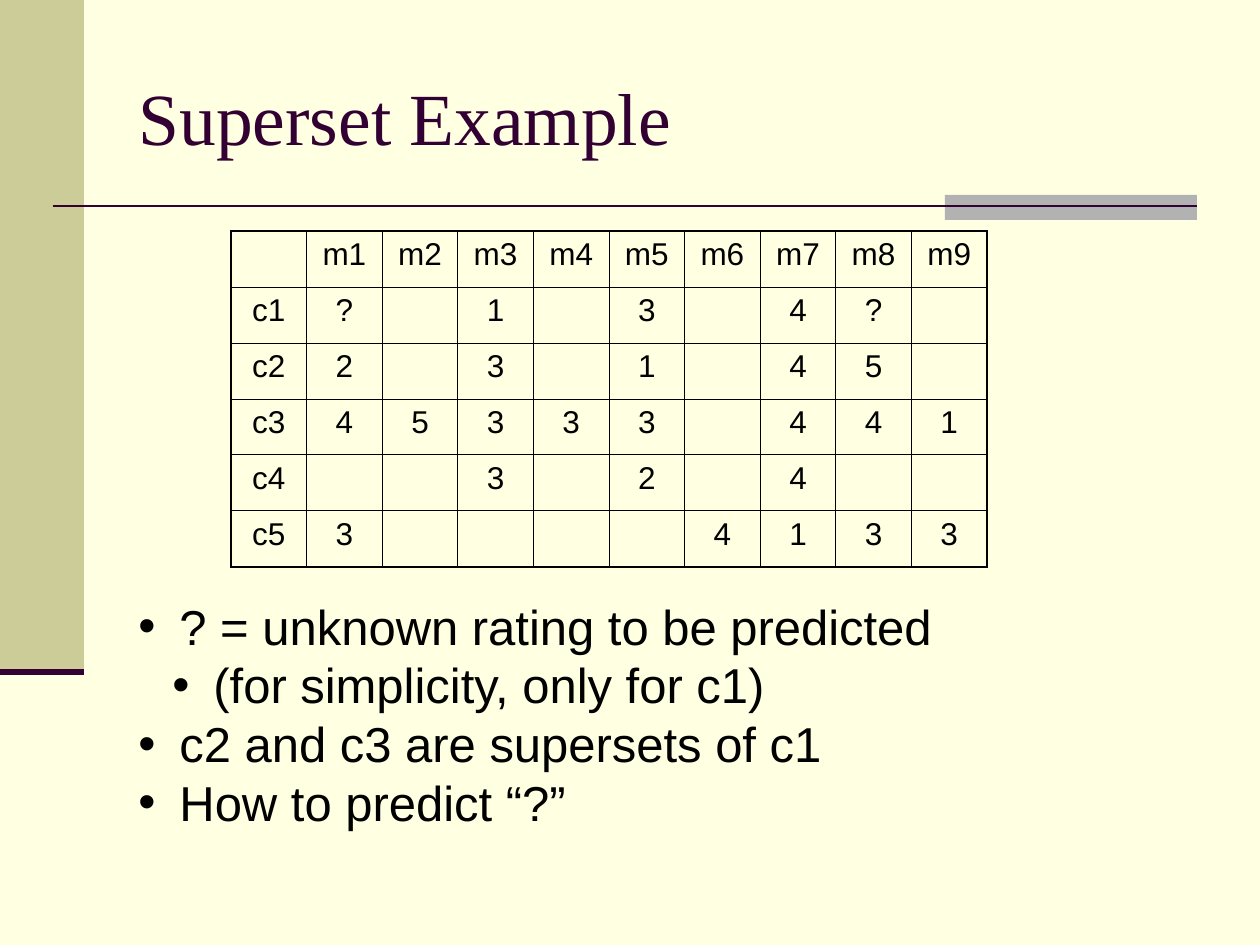
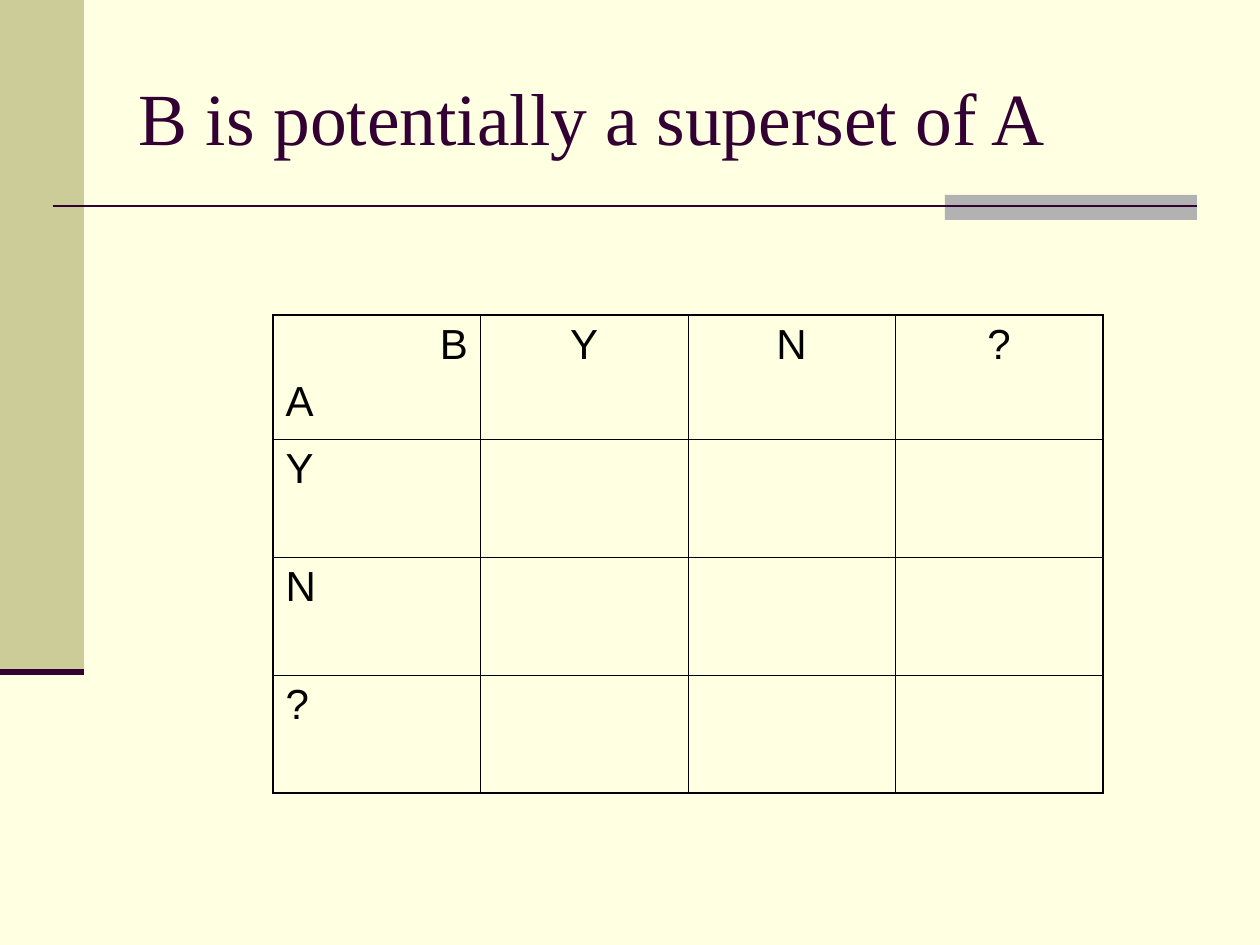
from lxml.etree import SubElement
from pptx import Presentation
from pptx.dml.color import RGBColor
from pptx.enum.shapes import MSO_CONNECTOR, MSO_SHAPE
from pptx.enum.text import MSO_ANCHOR, MSO_AUTO_SIZE, PP_ALIGN
from pptx.oxml.ns import qn
from pptx.util import Emu, Pt

PX_PER_INCH = 126
COLORS = {
    "background": "FFFFE1",
    "side_band": "CCCC99",
    "accent_bar": "B2B2B2",
    "rule": "330033",
    "title": "330033",
    "text": "000000",
    "border": "000000",
}
TITLE_FONT = "Times New Roman"
BODY_FONT = "Arial"
OUTER_BORDER = Pt(1.08)
INNER_BORDER = Pt(0.45)
TITLE_ONLY = 5

RATINGS = [
    ["", "m1", "m2", "m3", "m4", "m5", "m6", "m7", "m8", "m9"],
    ["c1", "?", "", "1", "", "3", "", "4", "?", ""],
    ["c2", "2", "", "3", "", "1", "", "4", "5", ""],
    ["c3", "4", "5", "3", "3", "3", "", "4", "4", "1"],
    ["c4", "", "", "3", "", "2", "", "4", "", ""],
    ["c5", "3", "", "", "", "", "4", "1", "3", "3"],
]
NOTES = [
    ("? = unknown rating to be predicted", 0),
    ("(for simplicity, only for c1)", 1),
    ("c2 and c3 are supersets of c1", 0),
    ("How to predict “?”", 0),
]
OUTCOMES = ["Y", "N", "?"]


def px(length):
    return Emu(round(length * 914400 / PX_PER_INCH))


def rgb(name):
    return RGBColor.from_string(COLORS[name])


def write(paragraph, text, size, font=BODY_FONT, color="text",
          align=PP_ALIGN.LEFT, before=0, line_spacing=None):
    run = paragraph.add_run()
    run.text = text
    run.font.size = Pt(size)
    run.font.name = font
    run.font.color.rgb = rgb(color)
    paragraph.alignment = align
    paragraph.space_before = Pt(before)
    if line_spacing:
        paragraph.line_spacing = Pt(line_spacing)


def add_bar(slide, left, top, width, height, color):
    bar = slide.shapes.add_shape(
        MSO_SHAPE.RECTANGLE, px(left), px(top), px(width), px(height))
    bar.shadow.inherit = False
    bar.fill.solid()
    bar.fill.fore_color.rgb = rgb(color)
    bar.line.fill.background()


def add_rule(slide, left, right, y, weight):
    rule = slide.shapes.add_connector(
        MSO_CONNECTOR.STRAIGHT, px(left), px(y), px(right), px(y))
    rule.line.color.rgb = rgb("rule")
    rule.line.width = Pt(weight)
    SubElement(rule._element.spPr, qn("a:effectLst"))


def add_titled_slide(presentation, title):
    """Add a slide with the shared bands, rules and title style."""
    slide = presentation.slides.add_slide(presentation.slide_layouts[TITLE_ONLY])
    add_bar(slide, 0, 0, 84, 672, "side_band")
    add_bar(slide, 945, 195, 252, 25, "accent_bar")
    add_rule(slide, 53, 1197, 206, 1.5)
    add_rule(slide, 0, 84, 672, 3.5)

    placeholder = slide.shapes.title
    placeholder.left, placeholder.top = px(126), px(38)
    placeholder.width, placeholder.height = px(1071), px(157)
    frame = placeholder.text_frame
    frame.vertical_anchor = MSO_ANCHOR.MIDDLE
    write(frame.paragraphs[0], title, 42, font=TITLE_FONT, color="title")
    return slide


def set_border(cell, side, width):
    line = SubElement(cell._tc.get_or_add_tcPr(), qn(f"a:ln{side}"), w=str(width))
    fill = SubElement(line, qn("a:solidFill"))
    SubElement(fill, qn("a:srgbClr"), val=COLORS["border"])


def add_grid(slide, left, top, width, row_heights, column_count):
    """Add an unfilled table with equal columns and a heavier outer border."""
    row_count = len(row_heights)
    table = slide.shapes.add_table(
        row_count, column_count, px(left), px(top),
        px(width), px(sum(row_heights))).table
    table.first_row = False
    table.horz_banding = False
    for column in table.columns:
        column.width = px(width / column_count)
    for row_index, height in enumerate(row_heights):
        table.rows[row_index].height = px(height)
        for column_index in range(column_count):
            cell = table.cell(row_index, column_index)
            outer_sides = {
                "L": column_index == 0,
                "R": column_index == column_count - 1,
                "T": row_index == 0,
                "B": row_index == row_count - 1,
            }
            for side, is_outer in outer_sides.items():
                set_border(cell, side, OUTER_BORDER if is_outer else INNER_BORDER)
            cell.fill.background()
    return table


def write_cell(table, row, column, text, size, align):
    write(table.cell(row, column).text_frame.paragraphs[0], text, size,
          align=align, before=size / 4)


def add_bullets(slide, items, left, top, width, height):
    box = slide.shapes.add_textbox(px(left), px(top), px(width), px(height))
    frame = box.text_frame
    frame.word_wrap = True
    frame.auto_size = MSO_AUTO_SIZE.SHAPE_TO_FIT_TEXT
    hanging, level_step = 41, 34
    for index, (text, level) in enumerate(items):
        paragraph = frame.add_paragraph() if index else frame.paragraphs[0]
        paragraph.level = level
        write(paragraph, text, 28, line_spacing=33.6)
        properties = paragraph._p.get_or_add_pPr()
        properties.set("marL", str(px(hanging + level * level_step)))
        properties.set("indent", str(px(-hanging)))
        SubElement(properties, qn("a:buFont"), typeface=BODY_FONT)
        SubElement(properties, qn("a:buChar"), char="•")


def build_superset_example(presentation):
    slide = add_titled_slide(presentation, "Superset Example")
    table = add_grid(slide, 231, 231, 756, [56] * len(RATINGS), len(RATINGS[0]))
    for row, values in enumerate(RATINGS):
        for column, value in enumerate(values):
            if value:
                write_cell(table, row, column, value, 18, PP_ALIGN.CENTER)
    add_bullets(slide, NOTES, 126, 590, 1040, 248)


def build_potential_superset(presentation):
    slide = add_titled_slide(presentation, "B is potentially a superset of A")
    table = add_grid(slide, 273, 315, 830, [124, 118, 118, 118], 4)
    write_cell(table, 0, 0, "B", 24, PP_ALIGN.RIGHT)
    write(table.cell(0, 0).text_frame.add_paragraph(), "A", 24, before=6)
    for index, outcome in enumerate(OUTCOMES, start=1):
        write_cell(table, 0, index, outcome, 24, PP_ALIGN.CENTER)
        write_cell(table, index, 0, outcome, 24, PP_ALIGN.LEFT)


def main():
    presentation = Presentation()
    presentation.slide_width = px(1260)
    presentation.slide_height = px(945)
    background = presentation.slide_master.background.fill
    background.solid()
    background.fore_color.rgb = rgb("background")
    build_superset_example(presentation)
    build_potential_superset(presentation)
    presentation.save("out.pptx")


if __name__ == "__main__":
    main()
